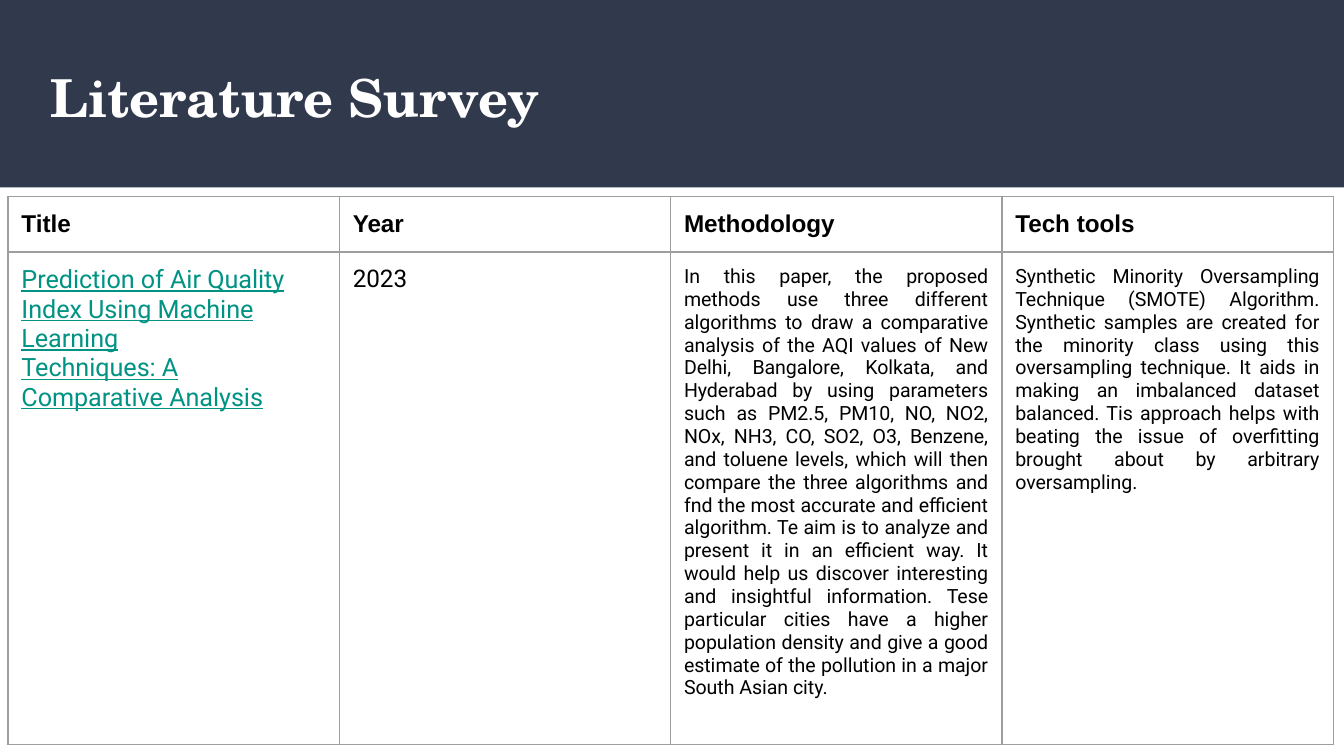
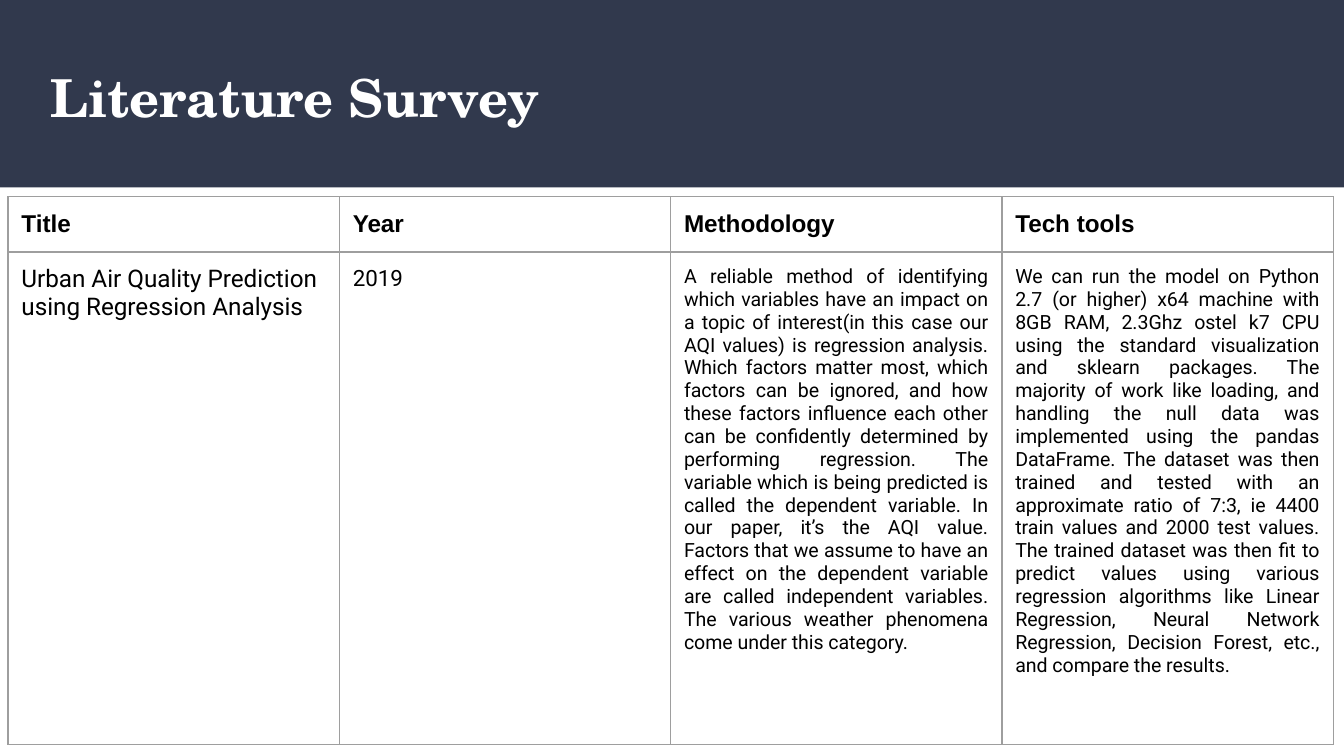
from lxml import etree
from pptx import Presentation
from pptx import util as u
from pptx.dml.color import RGBColor
from pptx.enum import shapes, text
from pptx.oxml import ns

PX = 4572  # 200 px to the inch
PAD = 20 * PX
NAVY, WHITE, BLACK, GREY, TEAL = "31394D", "FFFFFF", "000000", "9E9E9E", "009384"
HEADS = ["Title", "Year", "Methodology", "Tech tools"]
HEAD = dict(size=13, font="Arial", bold=True)
BODY = dict(size=10.5, mark=WHITE, align=text.PP_ALIGN.JUSTIFY)

PAPERS = [
    [
        ("Prediction of Air Quality Index Using Machine Learning\n"
         "Techniques: A Comparative Analysis",
         dict(size=13.5, color=TEAL, under=True, mark=WHITE)),
        ("2023", dict(size=13)),
        ("In this paper, the proposed methods use three different algorithms to draw a "
         "comparative analysis of the AQI values of New Delhi, Bangalore, Kolkata, and "
         "Hyderabad by using parameters such as PM2.5, PM10, NO, NO2, NOx, NH3, CO, SO2, "
         "O3, Benzene, and toluene levels, which will then compare the three algorithms "
         "and fnd the most accurate and efficient algorithm. Te aim is to analyze and "
         "present it in an efficient way. It would help us discover interesting and "
         "insightful information. Tese particular cities have a higher population density "
         "and give a good estimate of the pollution in a major South Asian city.", BODY),
        ("Synthetic Minority Oversampling Technique (SMOTE) Algorithm. Synthetic samples "
         "are created for the minority class using this oversampling technique. It aids in "
         "making an imbalanced dataset balanced. Tis approach helps with beating the issue "
         "of overfitting brought about by arbitrary oversampling.", BODY),
    ],
    [
        ("Urban Air Quality Prediction using Regression Analysis",
         dict(size=13, mark=WHITE)),
        ("2019", dict(size=12)),
        ("A reliable method of identifying which variables have an impact on a topic of "
         "interest(in this case our AQI values) is regression analysis. Which factors "
         "matter most, which factors can be ignored, and how these factors influence each "
         "other can be confidently determined by performing regression. The variable which "
         "is being predicted is called the dependent variable. In our paper, it’s the AQI "
         "value. Factors that we assume to have an effect on the dependent variable are "
         "called independent variables. The various weather phenomena come under this "
         "category.", BODY),
        ("We can run the model on Python 2.7 (or higher) x64 machine with 8GB RAM, 2.3Ghz "
         "ostel k7 CPU using the standard visualization and sklearn packages. The majority "
         "of work like loading, and handling the null data was implemented using the pandas "
         "DataFrame. The dataset was then trained and tested with an approximate ratio of "
         "7:3, ie 4400 train values and 2000 test values. The trained dataset was then fit "
         "to predict values using various regression algorithms like Linear Regression, "
         "Neural Network Regression, Decision Forest, etc., and compare the results.", BODY),
    ],
]


def rgb(code):
    return RGBColor.from_string(code)


def paint(node, tag, code):
    """Add a child that holds one solid colour value."""
    child = etree.SubElement(node, ns.qn(tag))
    etree.SubElement(child, ns.qn("a:srgbClr"), val=code)


def inset(box):
    """Give a cell or text frame equal margins."""
    box.margin_left = box.margin_right = PAD
    box.margin_top = box.margin_bottom = PAD


def write(frame, words, size, font="Roboto", color=BLACK, bold=False, under=False,
          mark=None, align=text.PP_ALIGN.LEFT):
    """Fill a text frame, one paragraph to a line; mark is the highlight."""
    frame.word_wrap = True
    for i, line in enumerate(words.split("\n")):
        para = frame.add_paragraph() if i else frame.paragraphs[0]
        para.alignment = align
        run = para.add_run()
        run.text = line
        style = run.font
        style.size, style.bold, style.underline = u.Pt(size), bold, under
        style.color.rgb = rgb(color)
        if mark:
            paint(run._r.get_or_add_rPr(), "a:highlight", mark)
        style.name = font


def edge(cell, color, width):
    """Draw the four borders of a table cell."""
    props = cell._tc.get_or_add_tcPr()
    for side in "LRTB":
        line = etree.SubElement(props, ns.qn("a:ln" + side), w=str(u.Pt(width)))
        paint(line, "a:solidFill", color)


class Deck:
    def __init__(self, width, height):
        self.prs = Presentation()
        self.prs.slide_width, self.prs.slide_height = width * PX, height * PX
        self.slide = None

    def page(self):
        self.slide = self.prs.slides.add_slide(self.prs.slide_layouts[5])

    def band(self, height):
        """Draw the top band behind everything else."""
        tree = self.slide.shapes
        box = tree.add_shape(shapes.MSO_SHAPE.RECTANGLE, 0, 0,
                             self.prs.slide_width, height * PX)
        box.shadow.inherit = False
        box.fill.solid()
        box.fill.fore_color.rgb = rgb(NAVY)
        box.line.fill.background()
        tree._spTree.insert(2, box._element)

    def title(self, words, left, top, width, height):
        box = self.slide.shapes.title
        box.left, box.top, box.width, box.height = (
            n * PX for n in (left, top, width, height))
        frame = box.text_frame
        inset(frame)
        frame.vertical_anchor = text.MSO_ANCHOR.TOP
        frame.auto_size = text.MSO_AUTO_SIZE.NONE
        write(frame, words, size=28, font="TeX Gyre Schola", color=WHITE, bold=True)

    def table(self, rows, left, top, wide, highs):
        """Lay out rows of (words, format) in columns of equal width."""
        count = len(rows[0])
        grid = self.slide.shapes.add_table(
            len(rows), count, left * PX, top * PX,
            wide * count * PX, sum(highs) * PX).table
        grid.first_row = grid.horz_banding = False
        for col in grid.columns:
            col.width = wide * PX
        for r, (row, high) in enumerate(zip(rows, highs)):
            grid.rows[r].height = high * PX
            for c, (words, style) in enumerate(row):
                cell = grid.cell(r, c)
                inset(cell)
                edge(cell, GREY, 0.75)
                cell.fill.background()
                write(cell.text_frame, words, **style)


def main():
    deck = Deck(2000, 1125)
    heads = [(name, HEAD) for name in HEADS]
    for paper in PAPERS:
        deck.page()
        deck.band(279)
        deck.title("Literature Survey", 55, 77, 1864, 136)
        deck.table([heads, paper], 12, 293, 493, [82, 733])
    deck.prs.save("out.pptx")


if __name__ == "__main__":
    main()
